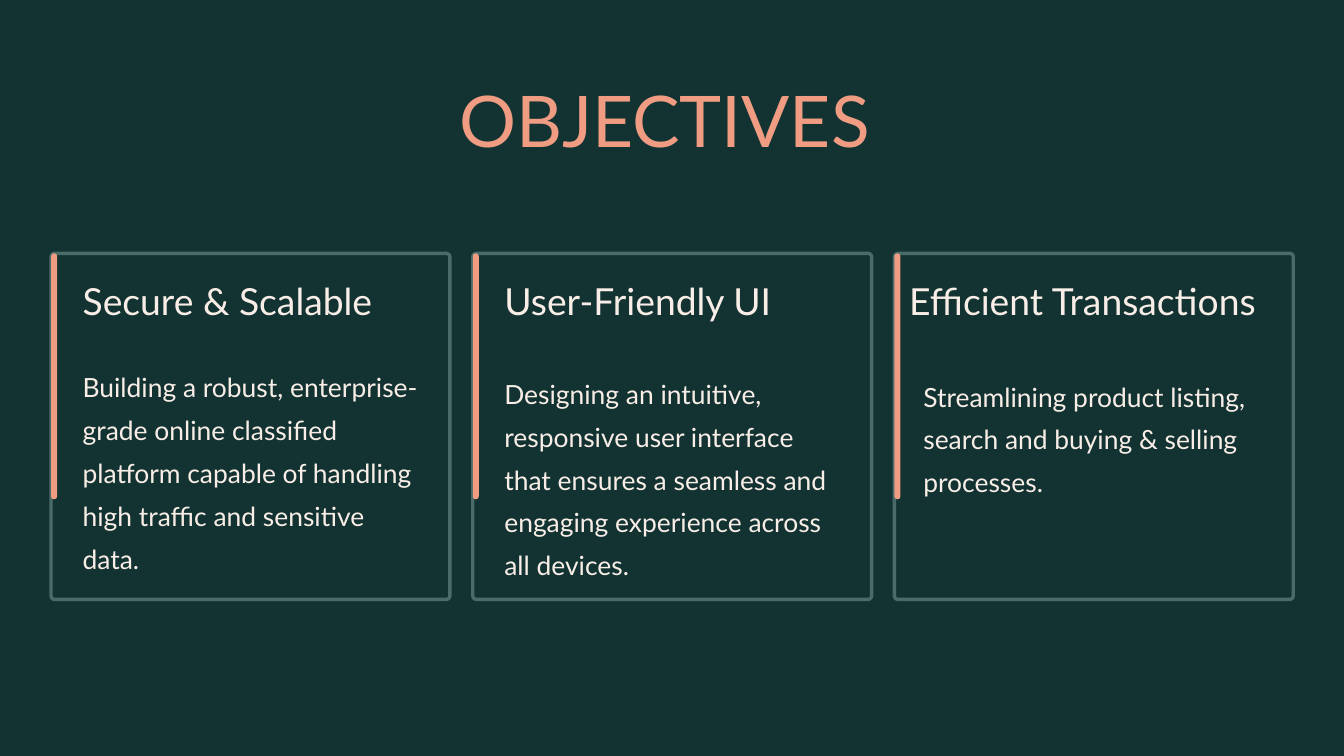
from pptx import Presentation, util as u
from pptx.dml.color import RGBColor
from pptx.enum import shapes, text

DARK = RGBColor(0x12, 0x33, 0x32)
EDGE = RGBColor(0x4A, 0x6B, 0x6A)
CORAL = RGBColor(0xEF, 0x9C, 0x82)
CREAM = RGBColor(0xF9, 0xEE, 0xE7)

# Grid: three cards of equal pitch
LEFT, TOP, PITCH = 0.76, 3.77, 6.275
WIDE, HIGH = 5.935, 5.15
BAR_W, BAR_H = 0.09, 3.66

deck = Presentation()
deck.slide_width, deck.slide_height = u.Inches(20), u.Inches(11.25)
slide = deck.slides.add_slide(deck.slide_layouts[5])
slide.background.fill.solid()
slide.background.fill.fore_color.rgb = DARK


def write(words, x, y, w, h, size, lead, color=CREAM, box=None):
    """Set one line-spaced paragraph in a new text box or a given one."""
    box = box or slide.shapes.add_textbox(0, 0, 0, 0)
    box.left, box.top, box.width, box.height = map(u.Inches, (x, y, w, h))
    frame = box.text_frame
    frame.margin_left = frame.margin_right = 0
    frame.margin_top = frame.margin_bottom = 0
    frame.word_wrap = True
    frame.auto_size = text.MSO_AUTO_SIZE.NONE
    frame.vertical_anchor = text.MSO_ANCHOR.TOP
    para = frame.paragraphs[0]
    para.alignment = text.PP_ALIGN.LEFT
    para.line_spacing = u.Pt(lead)
    run = para.add_run()
    run.text = words
    run.font.name, run.font.size = "Lato", u.Pt(size)
    run.font.color.rgb = color


def panel(x, y, w, h, round_by, fill, edge=None):
    """Draw a rounded rectangle, outlined if an edge colour is given."""
    shape = slide.shapes.add_shape(
        shapes.MSO_SHAPE.ROUNDED_RECTANGLE, *map(u.Inches, (x, y, w, h)))
    shape.adjustments[0] = round_by
    shape.shadow.inherit = False
    shape.fill.solid()
    shape.fill.fore_color.rgb = fill
    if edge:
        shape.line.color.rgb = edge
        shape.line.width = u.Pt(3.6)
    else:
        shape.line.fill.background()


# Title
write("OBJECTIVES", 6.84, 1.07, 6.4, 1.31, 76.3, 95.9, CORAL,
      box=slide.shapes.title)

# Cards: heading and its indent, body and its indent and top
cards = [
    ("Secure & Scalable", 0.47,
     "Building a robust, enterprise-grade online classified platform "
     "capable of handling high traffic and sensitive data.", 0.47, 5.36),
    ("User-Friendly UI", 0.47,
     "Designing an intuitive, responsive user interface that ensures "
     "a seamless and engaging experience across all devices.", 0.47, 5.46),
    ("Efficient Transactions", 0.22,
     "Streamlining product listing, search and buying & selling "
     "processes.", 0.43, 5.5),
]
for col, (head, head_in, body, body_in, body_top) in enumerate(cards):
    x = LEFT + col * PITCH
    panel(x, TOP, WIDE, HIGH, 0.01, DARK, EDGE)
    panel(x, TOP, BAR_W, BAR_H, 0.5, CORAL)
    write(head, x + head_in, 4.11, 5.49, 0.69, 39.9, 49.9)
    write(body, x + body_in, body_top, 5.08, 3.11, 28.3, 45.9)

deck.save("out.pptx")
